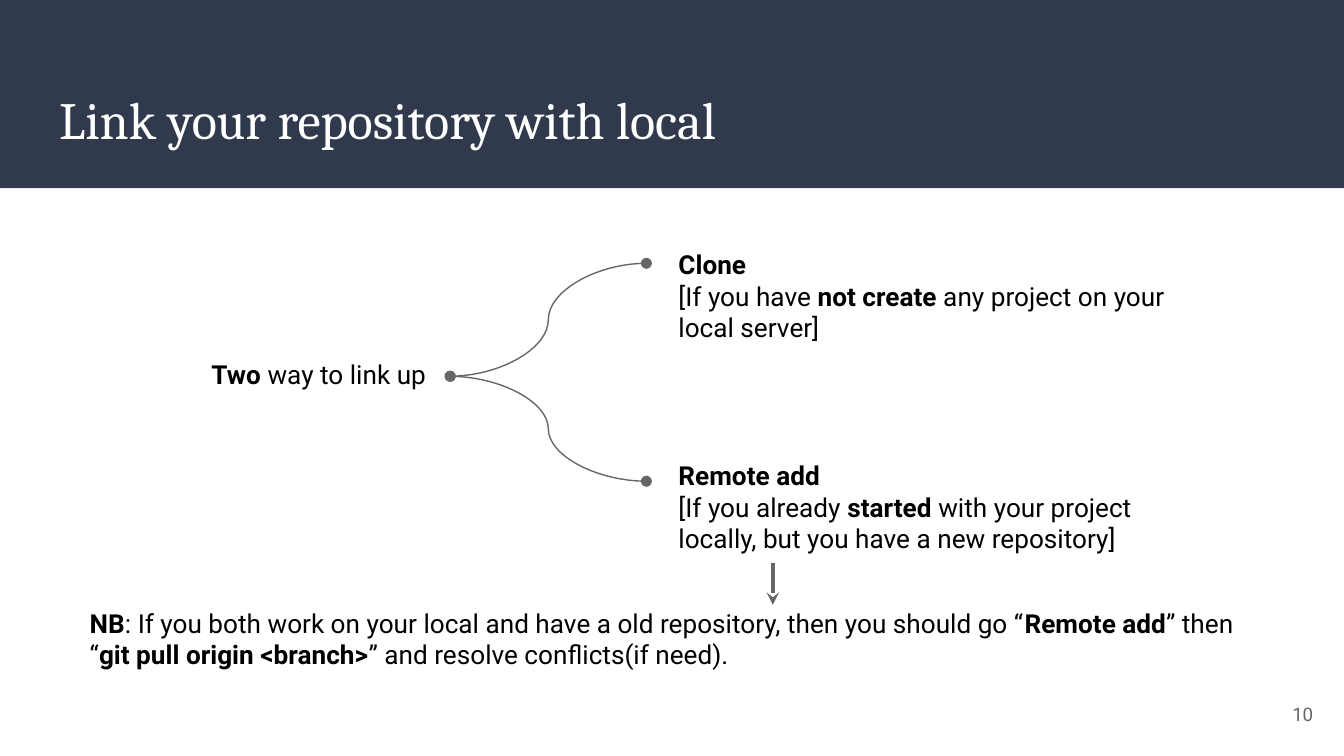
from lxml import etree
from pptx import Presentation
from pptx.dml.color import RGBColor
from pptx.enum.shapes import MSO_CONNECTOR, MSO_SHAPE
from pptx.enum.text import MSO_ANCHOR, MSO_AUTO_SIZE, PP_ALIGN
from pptx.oxml.ns import qn
from pptx.util import Pt

LEFT, RIGHT = PP_ALIGN.LEFT, PP_ALIGN.RIGHT
TOP, MIDDLE = MSO_ANCHOR.TOP, MSO_ANCHOR.MIDDLE
CURVE, STRAIGHT = MSO_CONNECTOR.CURVE, MSO_CONNECTOR.STRAIGHT

COLORS = {"band": "31394D", "white": "FFFFFF", "black": "000000", "gray": "666666"}

# Words between asterisks are bold.
TITLE = "Link your repository with local"
ROOT = "*Two *way to link up"
# Text, top of its box, height of its box, end of its branch
WAYS = [
    (["*Clone*", "[If you have *not create* any project on your local server]"],
     126, 83.5, 141.1),
    (["*Remote add*", "[If you already *started *with your project locally, "
      "but you have a new repository]"],
     239, 68.4, 257.8),
]
NOTE = ("*NB*: If you both work on your local and have a old repository, "
        "then you should go “*Remote add*” then “*git pull origin <branch>*” "
        "and resolve conflicts(if need).")
PAGE = "10"

WIDTH, HEIGHT = 720, 405
FORK = (241.2, 201.6)
TIP = 346.3
WAY_X, WAY_W = 356.4, 290.2


def color(name):
    return RGBColor.from_string(COLORS[name])


def write(shape, lines, size=14, font="Roboto", ink="black", align=LEFT, anchor=TOP):
    """Fill a shape with paragraphs, setting words between asterisks in bold."""
    frame = shape.text_frame
    frame.word_wrap = True
    frame.auto_size = MSO_AUTO_SIZE.NONE
    frame.vertical_anchor = anchor
    frame.margin_left = frame.margin_right = Pt(7.2)
    frame.margin_top = frame.margin_bottom = Pt(7.2)
    for i, line in enumerate(lines):
        para = frame.add_paragraph() if i else frame.paragraphs[0]
        para.alignment = align
        for j, part in enumerate(line.split("*")):
            if part:
                run = para.add_run()
                run.text = part
                run.font.name = font
                run.font.size = Pt(size)
                run.font.bold = j % 2 == 1
                run.font.color.rgb = color(ink)


def add_text(slide, box, lines, **style):
    shape = slide.shapes.add_textbox(*map(Pt, box))
    write(shape, lines, **style)


def add_line(slide, kind, start, end, width, **ends):
    """Draw a connector; ends maps headEnd and tailEnd to their shapes."""
    link = slide.shapes.add_connector(kind, *map(Pt, (*start, *end)))
    link.line.color.rgb = color("gray")
    link.line.width = Pt(width)
    props = link._element.spPr
    for tag in ("headEnd", "tailEnd"):
        if tag in ends:
            etree.SubElement(props.find(qn("a:ln")), qn("a:" + tag),
                             type=ends[tag], w="med", len="med")
    etree.SubElement(props, qn("a:effectLst"))


def add_title(slide):
    title = slide.shapes.title
    title.left, title.top = Pt(24.5), Pt(39.6)
    title.width, title.height = Pt(671), Pt(49)
    write(title, [TITLE], size=28, font="Cambria", ink="white")
    band = slide.shapes.add_shape(MSO_SHAPE.RECTANGLE, 0, 0, Pt(WIDTH), Pt(100.8))
    band.shadow.inherit = False
    band.fill.solid()
    band.fill.fore_color.rgb = color("band")
    band.line.fill.background()
    title._element.addprevious(band._element)


def main():
    deck = Presentation()
    deck.slide_width, deck.slide_height = Pt(WIDTH), Pt(HEIGHT)
    slide = deck.slides.add_slide(deck.slide_layouts[5])
    add_title(slide)
    add_text(slide, (667.4, 367.2, 43.2, 31), [PAGE],
             size=10, ink="gray", align=RIGHT, anchor=MIDDLE)
    add_text(slide, (73.4, 185, 162, 31), [ROOT], align=RIGHT, anchor=MIDDLE)
    for lines, top, height, end in WAYS:
        add_line(slide, CURVE, FORK, (TIP, end), 0.75, headEnd="oval", tailEnd="oval")
        add_text(slide, (WAY_X, top, WAY_W, height), lines)
    add_text(slide, (41, 318.2, 630, 43.2), [NOTE])
    add_line(slide, STRAIGHT, (414, 301.7), (414, 324), 2.25, tailEnd="stealth")
    deck.save("out.pptx")


if __name__ == "__main__":
    main()
